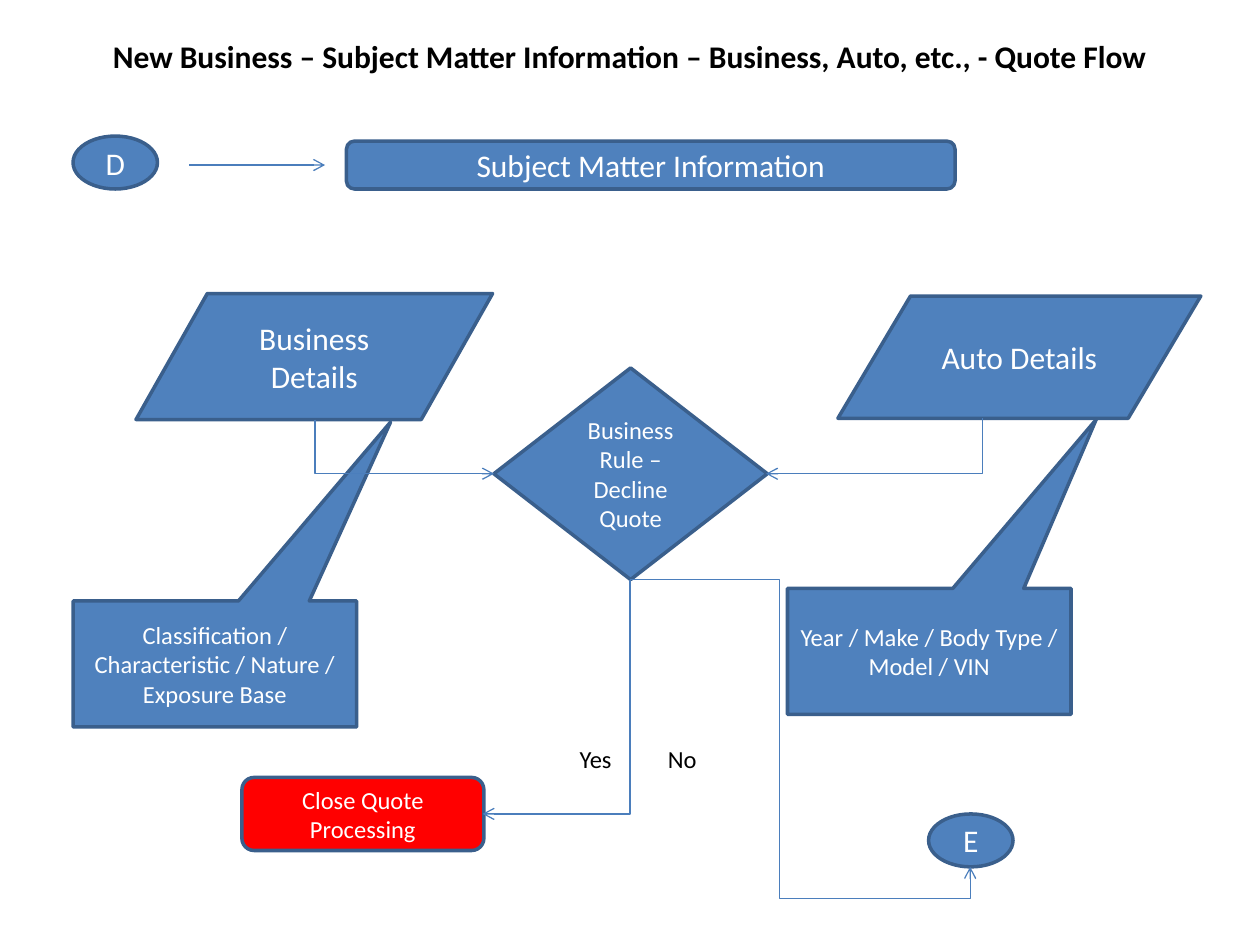
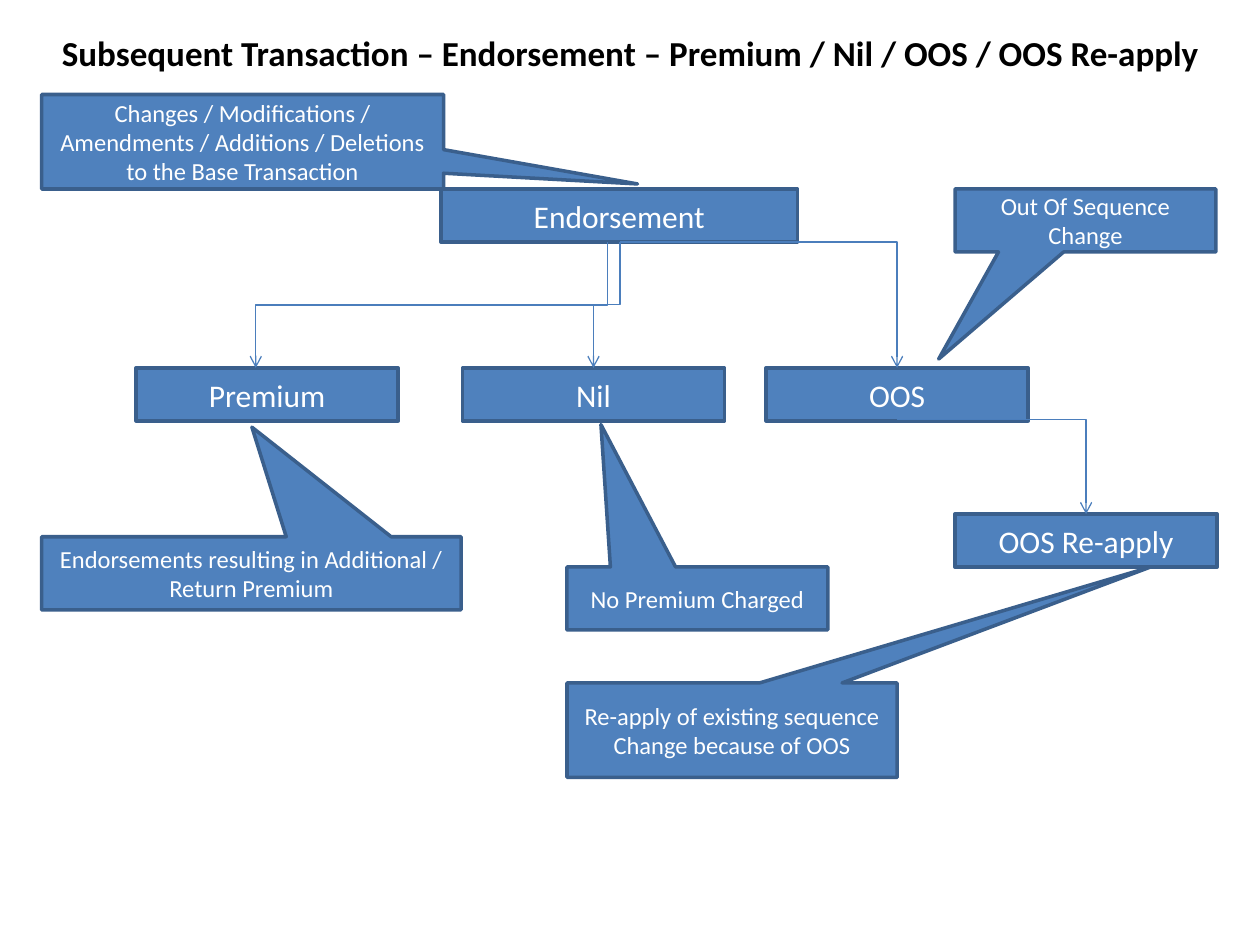
from lxml.etree import SubElement
from pptx import Presentation
from pptx.dml.color import RGBColor
from pptx.enum.shapes import MSO_CONNECTOR as Link, MSO_SHAPE as Shape
from pptx.enum.text import MSO_ANCHOR as Anchor, PP_ALIGN as Align
from pptx.oxml.ns import qn
from pptx.util import Inches, Pt

BLUE = RGBColor(0x4F, 0x81, 0xBD)
EDGE = RGBColor(0x3A, 0x5F, 0x8C)
WIRE = RGBColor(0x4B, 0x7E, 0xBC)
RED = RGBColor(0xFF, 0x00, 0x00)
WHITE = RGBColor(0xFF, 0xFF, 0xFF)
BLACK = RGBColor(0x00, 0x00, 0x00)
FONT = "Calibri"
LARGE, SMALL = 18, 14


def inches(values):
    return [Inches(value) for value in values]


def write(frame, text, size, color, bold=False, align=Align.CENTER):
    frame.word_wrap = True
    frame.vertical_anchor = Anchor.MIDDLE
    para = frame.paragraphs[0]
    para.alignment = align
    span = para.add_run()
    span.text = text
    span.font.name = FONT
    span.font.size = Pt(size)
    span.font.bold = bold
    span.font.color.rgb = color


def add_title(page, box, text, size):
    title = page.shapes.add_textbox(*inches(box))
    write(title.text_frame, text, size, BLACK, bold=True)


def add_label(page, box, text):
    frame = page.shapes.add_textbox(*inches(box)).text_frame
    frame.margin_left = frame.margin_right = 0
    write(frame, text, SMALL, BLACK, align=Align.LEFT)


def add_node(page, kind, box, text, size=LARGE, fill=BLUE):
    node = page.shapes.add_shape(kind, *inches(box))
    node.shadow.inherit = False
    node.fill.solid()
    node.fill.fore_color.rgb = fill
    node.line.color.rgb = EDGE
    node.line.width = Pt(2)
    write(node.text_frame, text, size, WHITE)
    return node


def add_callout(page, box, tip, text):
    left, top, width, height = box
    callout = add_node(page, Shape.RECTANGULAR_CALLOUT, box, text, SMALL)
    callout.adjustments[0] = (tip[0] - left) / width - 0.5
    callout.adjustments[1] = (tip[1] - top) / height - 0.5


def add_arrow(page, start, end, kind=Link.STRAIGHT):
    arrow = page.shapes.add_connector(kind, *inches(start + end))
    arrow.line.color.rgb = WIRE
    arrow.line.width = Pt(0.75)
    props = arrow.element.spPr
    SubElement(props.find(qn("a:ln")), qn("a:tailEnd"), type="arrow")
    SubElement(props, qn("a:effectLst"))
    return props


def add_elbow(page, start, end, preset, down_first=False, bends=()):
    (x1, y1), (x2, y2) = start, end
    if down_first:
        across, down = abs(x2 - x1), abs(y2 - y1)
        left = (x1 + x2 - down) / 2
        top = (y1 + y2 - across) / 2
        props = add_arrow(page, (left, top), (left + down, top + across), Link.ELBOW)
        frame = props.find(qn("a:xfrm"))
        frame.set("rot", str((270 if x2 > x1 else 90) * 60000))
        if x2 > x1:
            frame.set("flipH", "1")
    else:
        props = add_arrow(page, start, end, Link.ELBOW)
    outline = props.find(qn("a:prstGeom"))
    outline.set("prst", preset)
    guides = outline.find(qn("a:avLst"))
    for number, bend in enumerate(bends, 1):
        SubElement(guides, qn("a:gd"), name=f"adj{number}",
                   fmla=f"val {round(bend * 100000)}")


def build_quote_flow(page):
    add_title(page, (0.5, 0.13, 9, 0.62),
              "New Business – Subject Matter Information – Business, Auto, etc., - Quote Flow", 18)
    for left, text in ((4.6, "Yes"), (5.3, "No")):
        add_label(page, (left, 5.87, 0.35, 0.3), text)
    for left, top, text in ((0.58, 1.08, "D"), (7.37, 6.46, "E")):
        add_node(page, Shape.OVAL, (left, top, 0.67, 0.42), text)
    add_node(page, Shape.FLOWCHART_ALTERNATE_PROCESS, (2.75, 1.12, 4.83, 0.38),
             "Subject Matter Information")
    add_node(page, Shape.FLOWCHART_DATA, (1.08, 2.33, 2.83, 1), "Business Details")
    add_node(page, Shape.FLOWCHART_DATA, (6.65, 2.35, 2.88, 0.97), "Auto Details")
    add_callout(page, (0.58, 4.77, 2.25, 1), (3.1, 3.35),
                "Classification / Characteristic / Nature / Exposure Base")
    add_callout(page, (6.25, 4.67, 2.25, 1), (8.7, 3.33),
                "Year / Make / Body Type / Model / VIN")
    add_node(page, Shape.FLOWCHART_DECISION, (3.92, 2.92, 2.17, 1.68),
             "Business Rule – Decline Quote", SMALL)
    add_node(page, Shape.FLOWCHART_ALTERNATE_PROCESS, (1.92, 6.17, 1.92, 0.58),
             "Close Quote Processing", SMALL, RED)
    for start, end in (((2.5, 3.33), (3.92, 3.76)),
                       ((7.8, 3.32), (6.08, 3.76)),
                       ((5, 4.6), (3.83, 6.46))):
        add_elbow(page, start, end, "bentConnector2", down_first=True)
    add_arrow(page, (1.5, 1.31), (2.58, 1.31))
    add_elbow(page, (5, 4.6), (7.7, 6.88), "bentConnector4", bends=(0.44, 1.11))


def build_endorsement(page):
    add_title(page, (0.17, 0.08, 9.67, 0.67),
              "Subsequent Transaction – Endorsement – Premium / Nil / OOS / OOS Re-apply", 20)
    for left, top, width, text in ((3.5, 1.5, 2.83, "Endorsement"),
                                   (1.08, 2.92, 2.08, "Premium"),
                                   (3.67, 2.92, 2.08, "Nil"),
                                   (6.08, 2.92, 2.08, "OOS"),
                                   (7.58, 4.08, 2.08, "OOS Re-apply")):
        add_node(page, Shape.FLOWCHART_PROCESS, (left, top, width, 0.42), text)
    add_callout(page, (0.33, 0.75, 3.19, 0.75), (5.06, 1.46),
                "Changes / Modifications / Amendments / Additions / Deletions "
                "to the Base Transaction")
    for start, end in ((4.82, 2.03), (4.92, 4.71)):
        add_elbow(page, (start, 1.92), (end, 2.92), "bentConnector3", down_first=True)
    add_elbow(page, (4.92, 1.92), (7.12, 2.92), "bentConnector2")
    add_elbow(page, (7.12, 3.33), (8.62, 4.08), "bentConnector2")
    add_callout(page, (0.33, 4.26, 3.33, 0.58), (2, 3.39),
                "Endorsements resulting in Additional / Return Premium")
    add_callout(page, (4.5, 4.5, 2.07, 0.5), (4.77, 3.37), "No Premium Charged")
    add_callout(page, (7.58, 1.5, 2.07, 0.5), (7.45, 2.85), "Out Of Sequence Change")
    add_callout(page, (4.5, 5.42, 2.62, 0.75), (9.13, 4.5),
                "Re-apply of existing sequence Change because of OOS")


deck = Presentation()
deck.slide_width, deck.slide_height = Inches(10), Inches(7.5)
for build in (build_quote_flow, build_endorsement):
    build(deck.slides.add_slide(deck.slide_layouts[6]))
deck.save("out.pptx")
